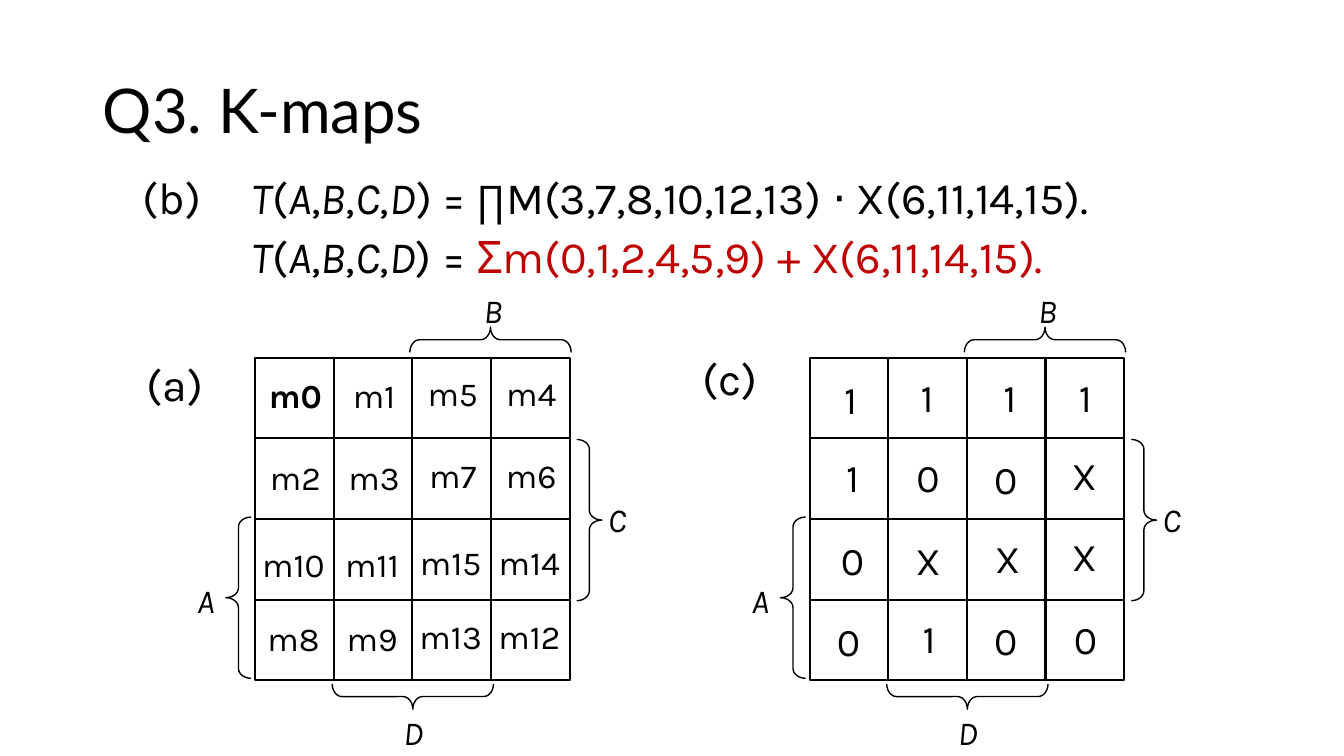
from dataclasses import dataclass

from pptx import Presentation
from pptx.dml.color import RGBColor
from pptx.enum.shapes import MSO_SHAPE
from pptx.enum.text import MSO_ANCHOR, MSO_AUTO_SIZE, PP_ALIGN
from pptx.util import Inches, Pt


@dataclass(frozen=True)
class Theme:
    ink: RGBColor = RGBColor(0x00, 0x00, 0x00)
    answer: RGBColor = RGBColor(0xC0, 0x00, 0x00)
    heading_font: str = "Lato"
    body_font: str = "Karla"
    title: int = 44
    formula: int = 32
    value: int = 28
    label: int = 24
    cell_line: float = 1.5
    brace_line: float = 1


theme = Theme()


def add_run(paragraph, text, size, color=theme.ink, italic=False, bold=False, font=theme.body_font):
    run = paragraph.add_run()
    run.text = text
    run.font.name = font
    run.font.size = Pt(size)
    run.font.color.rgb = color
    run.font.italic = italic
    run.font.bold = bold


def add_paragraph_box(shapes, left, top, width, height, centred=False):
    frame = shapes.add_textbox(Inches(left), Inches(top), Inches(width), Inches(height)).text_frame
    frame.word_wrap = True
    paragraph = frame.paragraphs[0]
    if centred:
        frame.auto_size = MSO_AUTO_SIZE.SHAPE_TO_FIT_TEXT
        paragraph.alignment = PP_ALIGN.CENTER
    else:
        paragraph.line_spacing = 0.9
    return paragraph


deck = Presentation()
deck.slide_width = Inches(13.33)
deck.slide_height = Inches(7.5)
slide = deck.slides.add_slide(deck.slide_layouts[5])

heading = slide.shapes.title
heading.left, heading.top = Inches(0.92), Inches(0.4)
heading.width, heading.height = Inches(11.5), Inches(1.45)
heading.text_frame.auto_size = MSO_AUTO_SIZE.NONE
heading.text_frame.vertical_anchor = MSO_ANCHOR.MIDDLE
heading_line = heading.text_frame.paragraphs[0]
heading_line.alignment = PP_ALIGN.LEFT
heading_line.line_spacing = 0.9
add_run(heading_line, "Q3. K-maps", theme.title, font=theme.heading_font)

for part, left, top in [("(b)", 1.32, 1.69), ("(a)", 1.36, 3.55), ("(c)", 6.87, 3.49)]:
    add_run(add_paragraph_box(slide.shapes, left, top, 0.86, 0.72), part, theme.formula)

formulas = [
    (1.69, 9.22, ") = ∏M(3,7,8,10,12,13) ⋅ X(6,11,14,15).", ""),
    (2.28, 8.57, ") = ", "Σm(0,1,2,4,5,9) + X(6,11,14,15)."),
]
for top, width, definition, solution in formulas:
    formula = add_paragraph_box(slide.shapes, 2.4, top, width, 0.72)
    for symbol, separator in zip("TABCD", ["(", ",", ",", ",", definition]):
        add_run(formula, symbol, theme.formula, italic=True)
        add_run(formula, separator, theme.formula)
    if solution:
        add_run(formula, solution, theme.formula, theme.answer)

cell_width, cell_height = 0.78, 0.8
grid_top = 3.55
minterm_map_left, value_map_left = 2.53, 8.03

variables = [("A", -0.75, 5.7), ("B", 2.1, 2.83), ("C", 3.33, 4.9), ("D", 1.31, 7.01)]
braces = [
    (3.19, 4.36, 0, None),
    (-0.29, 5.13, 0, "flipH"),
    (2.21, 2.57, 270, None),
    (1.44, 6.11, 90, "flipV"),
]
for map_left in (value_map_left, minterm_map_left):
    kmap = slide.shapes.add_group_shape().shapes
    outlines = []
    for row in range(4):
        for column in range(4):
            cell = kmap.add_shape(
                MSO_SHAPE.RECTANGLE,
                Inches(map_left + column * cell_width), Inches(grid_top + row * cell_height),
                Inches(cell_width), Inches(cell_height),
            )
            outlines.append((cell, theme.cell_line))
    for variable, offset, top in variables:
        label = add_paragraph_box(kmap, map_left + offset, top, 0.52, 0.5, centred=True)
        add_run(label, variable, theme.label, italic=True)
    for offset, top, rotation, flip in braces:
        brace = kmap.add_shape(
            MSO_SHAPE.RIGHT_BRACE, Inches(map_left + offset), Inches(top), Inches(0.25), Inches(1.6)
        )
        brace.adjustments[0] = 0.39
        brace.adjustments[1] = 0.5
        brace.rotation = rotation
        if flip:
            brace._element.spPr.xfrm.set(flip, "1")
        outlines.append((brace, theme.brace_line))
    for outline, weight in outlines:
        outline.shadow.inherit = False
        outline.fill.background()
        outline.line.color.rgb = theme.ink
        outline.line.width = Pt(weight)

minterm_rows = [
    (2.42, 3.67, [0, 1, 5, 4]),
    (2.42, 4.48, [2, 3, 7, 6]),
    (2.4, 5.35, [10, 11, 15, 14]),
    (2.4, 6.08, [8, 9, 13, 12]),
]
for left, top, minterms in minterm_rows:
    for column, minterm in enumerate(minterms):
        raised = 0.02 if column >= 2 else 0
        name = add_paragraph_box(
            slide.shapes, left + column * cell_width, top - raised, 1.02, 0.5, centred=True
        )
        add_run(name, f"m{minterm}", theme.label, bold=minterm == 0)

value_rows = [
    [("1", 8.04, 3.67), ("1", 8.8, 3.65), ("1", 9.62, 3.65), ("1", 10.37, 3.65)],
    [("1", 8.06, 4.45), ("0", 8.81, 4.45), ("0", 9.58, 4.47), ("X", 10.36, 4.43)],
    [("0", 8.06, 5.27), ("X", 8.81, 5.27), ("X", 9.6, 5.25), ("X", 10.36, 5.23)],
    [("0", 8.02, 6.08), ("1", 8.82, 6.05), ("0", 9.58, 6.07), ("0", 10.37, 6.06)],
]
for value_row in value_rows:
    for value, left, top in value_row:
        add_run(add_paragraph_box(slide.shapes, left, top, 0.79, 0.57, centred=True), value, theme.value)

deck.save("out.pptx")
